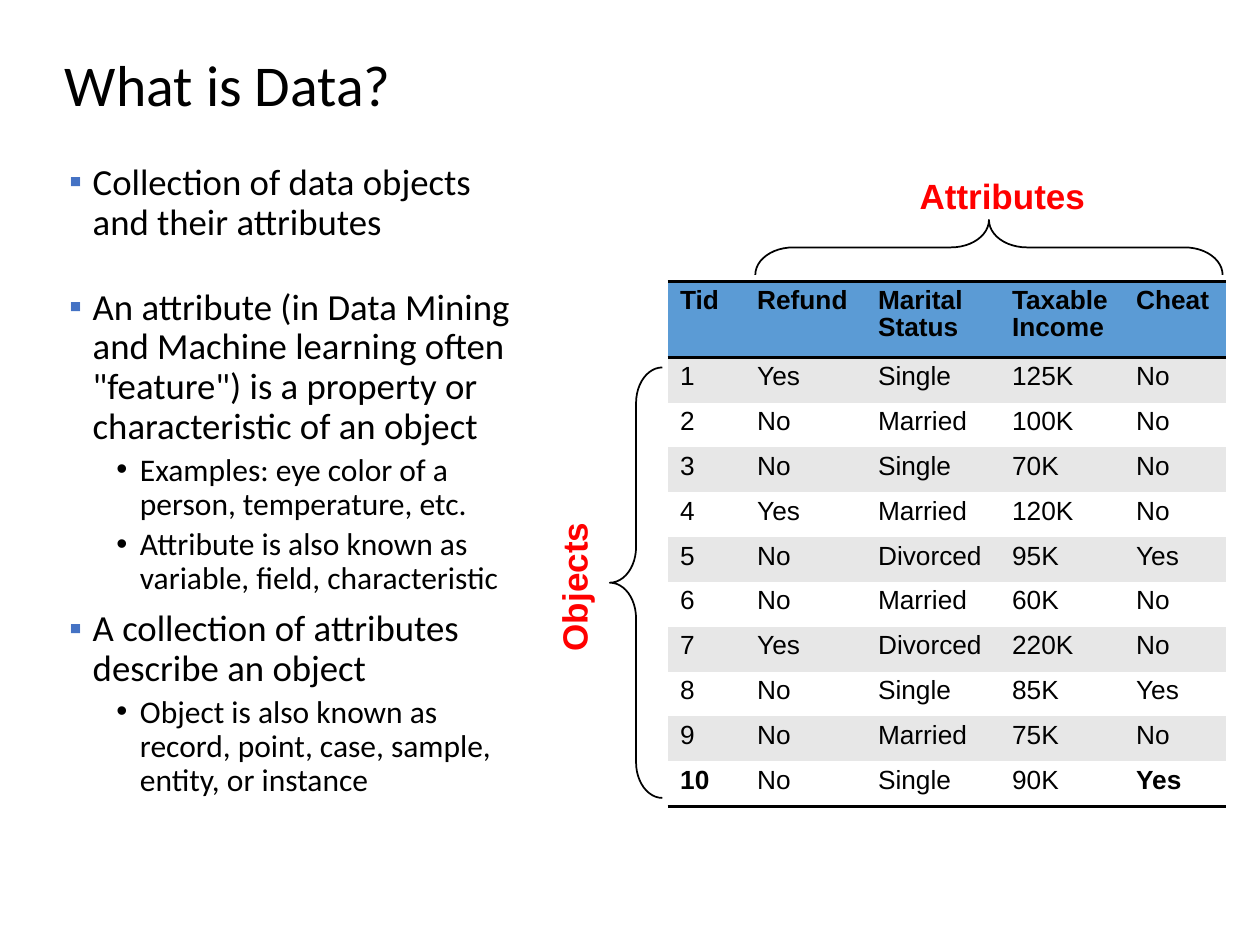
from typing import NamedTuple

from lxml.etree import SubElement
from pptx import Presentation
from pptx.dml.color import RGBColor
from pptx.enum.shapes import MSO_SHAPE
from pptx.enum.text import MSO_ANCHOR
from pptx.oxml.ns import qn
from pptx.util import Pt

BLACK = RGBColor(0x00, 0x00, 0x00)
WHITE = RGBColor(0xFF, 0xFF, 0xFF)
RED = RGBColor(0xFF, 0x00, 0x00)
BULLET_BLUE = RGBColor(0x44, 0x72, 0xC4)
HEADER_BLUE = RGBColor(0x5B, 0x9B, 0xD5)
BAND_GRAY = RGBColor(0xE7, 0xE7, 0xE7)
NO_STYLE = "{2D5ABB26-0587-4C30-8999-92F81FD0307C}"


class Box(NamedTuple):
    left: float
    top: float
    width: float
    height: float
    rotation: float = 0


class Level(NamedTuple):
    char: str
    color: RGBColor
    size: float
    margin: float
    before: float


class Bullet(NamedTuple):
    text: str
    level: int = 0
    extra_gap: float = 0


class Brace(NamedTuple):
    box: Box
    curve: float


class Label(NamedTuple):
    text: str
    box: Box


LEVELS = [
    Level("▪", BULLET_BLUE, 21, 13.5, 7.5),
    Level("•", BLACK, 18, 40.5, 3.8),
]
BULLETS = [
    Bullet("Collection of data objects and their attributes"),
    Bullet('An attribute (in Data Mining and Machine learning often "feature") '
           "is a property or characteristic of an object", extra_gap=18.5),
    Bullet("Examples: eye color of a person, temperature, etc.", 1),
    Bullet("Attribute is also known as variable, field, characteristic", 1),
    Bullet("A collection of attributes describe an object"),
    Bullet("Object is also known as record, point, case, sample, entity, "
           "or instance", 1),
]
BRACES = [
    Brace(Box(549.4, 7.9, 31.4, 267, 90), 0.69),
    Brace(Box(348.5, 210, 30, 246), 0.68),
]
LABELS = [
    Label("Attributes", Box(518.4, 96, 114, 31.5)),
    Label("Objects", Box(283, 318.5, 90, 31.5, 270)),
]
COLUMN_WIDTHS = [44, 69.1, 76.6, 70.9, 58.6]
HEADER_HEIGHT, ROW_HEIGHT = 43.8, 25.63
ROWS = [
    ("Tid", "Refund", "Marital\nStatus", "Taxable\nIncome", "Cheat"),
    ("1", "Yes", "Single", "125K", "No"),
    ("2", "No", "Married", "100K", "No"),
    ("3", "No", "Single", "70K", "No"),
    ("4", "Yes", "Married", "120K", "No"),
    ("5", "No", "Divorced", "95K", "Yes"),
    ("6", "No", "Married", "60K", "No"),
    ("7", "Yes", "Divorced", "220K", "No"),
    ("8", "No", "Single", "85K", "Yes"),
    ("9", "No", "Married", "75K", "No"),
    ("10", "No", "Single", "90K", "Yes"),
]
LAST = len(ROWS) - 1


def style(p, name: str, size: float, color: RGBColor, bold: bool = False) -> None:
    for r in p.runs:
        r.font.name, r.font.size, r.font.bold = name, Pt(size), bold
        r.font.color.rgb = color


def add_text_frame(s, box: Box):
    sp = s.shapes.add_textbox(*map(Pt, box[:4]))
    sp.rotation = box.rotation
    sp.text_frame.word_wrap = True
    return sp.text_frame


def add_title(s, text: str) -> None:
    tf = add_text_frame(s, Box(30, 28.8, 652, 43.2))
    tf.vertical_anchor = MSO_ANCHOR.MIDDLE
    p = tf.paragraphs[0]
    p.text = text
    p.line_spacing = 0.9
    style(p, "Calibri", 33, BLACK)


def add_bullets(s, bullets: list[Bullet]) -> None:
    tf = add_text_frame(s, Box(32.4, 90, 267, 408))
    for i, bullet in enumerate(bullets):
        level = LEVELS[bullet.level]
        p = tf.add_paragraph() if i else tf.paragraphs[0]
        p.text = bullet.text
        p.level = bullet.level
        # Hanging indent and bullet character
        pPr = p._p.get_or_add_pPr()
        pPr.set("marL", str(Pt(level.margin)))
        pPr.set("indent", str(-Pt(13.5)))
        color = SubElement(pPr, qn("a:buClr"))
        SubElement(color, qn("a:srgbClr"), val=str(level.color))
        SubElement(pPr, qn("a:buFont"), typeface="Arial")
        SubElement(pPr, qn("a:buChar"), char=level.char)
        p.line_spacing = 0.9
        if i:
            p.space_before = Pt(level.before + bullet.extra_gap)
        style(p, "Calibri", level.size, BLACK)


def add_brace(s, brace: Brace) -> None:
    sp = s.shapes.add_shape(MSO_SHAPE.LEFT_BRACE, *map(Pt, brace.box[:4]))
    sp.rotation = brace.box.rotation
    sp.adjustments[0] = brace.curve
    sp.shadow.inherit = False
    sp.fill.background()
    sp.line.color.rgb = BLACK
    sp.line.width = Pt(1)


def add_label(s, label: Label) -> None:
    p = add_text_frame(s, label.box).paragraphs[0]
    p.text = label.text
    style(p, "Arial", 20, RED, bold=True)


def add_border(cell, side: str) -> None:
    ln = SubElement(cell._tc.get_or_add_tcPr(), qn(f"a:{side}"), w=str(Pt(2)))
    fill = SubElement(ln, qn("a:solidFill"))
    SubElement(fill, qn("a:srgbClr"), val=str(BLACK))


def add_data_table(s) -> None:
    height = HEADER_HEIGHT + ROW_HEIGHT * LAST
    frame = s.shapes.add_table(len(ROWS), len(COLUMN_WIDTHS), Pt(381.5),
                               Pt(160.6), Pt(sum(COLUMN_WIDTHS)), Pt(height))
    table = frame.table
    table._tbl.tblPr.find(qn("a:tableStyleId")).text = NO_STYLE
    for column, width in zip(table.columns, COLUMN_WIDTHS):
        column.width = Pt(width)
    for i, row in enumerate(ROWS):
        table.rows[i].height = Pt(ROW_HEIGHT if i else HEADER_HEIGHT)
        for j, text in enumerate(row):
            cell = table.cell(i, j)
            # Rules above and below the header, and under the last row
            if i == 0:
                add_border(cell, "lnT")
            if i in (0, LAST):
                add_border(cell, "lnB")
            cell.fill.solid()
            band = BAND_GRAY if i % 2 else WHITE
            cell.fill.fore_color.rgb = band if i else HEADER_BLUE
            cell.text_frame.text = text
            bold = i == 0 or (i == LAST and j in (0, len(row) - 1))
            for p in cell.text_frame.paragraphs:
                p.line_spacing = 0.93
                style(p, "Arial", 15, BLACK, bold)


def main() -> None:
    prs = Presentation()
    prs.slide_width, prs.slide_height = Pt(720), Pt(540)
    s = prs.slides.add_slide(prs.slide_layouts[6])
    # Title and bullet text
    add_title(s, "What is Data?")
    add_bullets(s, BULLETS)
    # Braces with their labels
    for brace, label in zip(BRACES, LABELS):
        add_brace(s, brace)
        add_label(s, label)
    # Data table
    add_data_table(s)
    prs.save("out.pptx")


if __name__ == "__main__":
    main()
